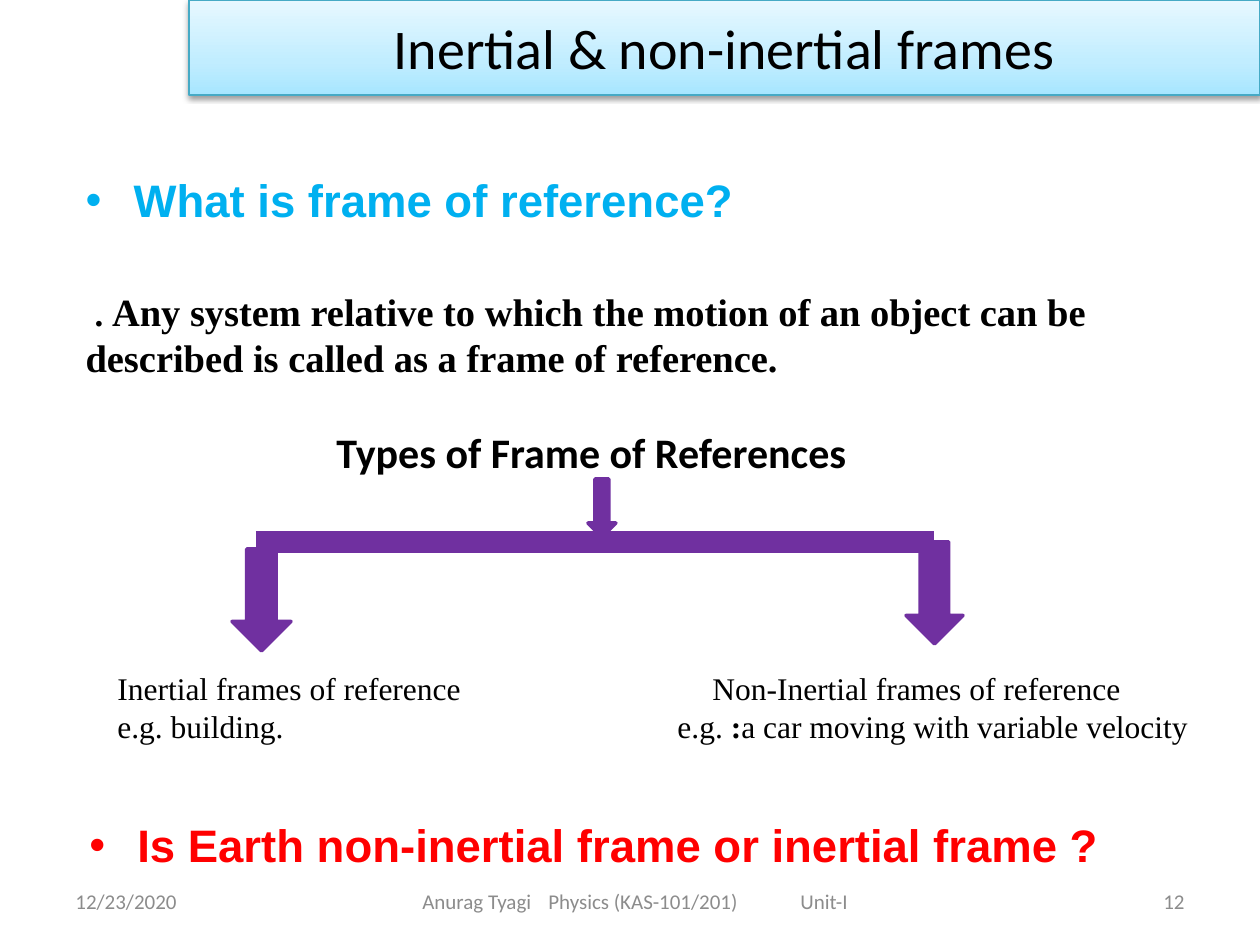
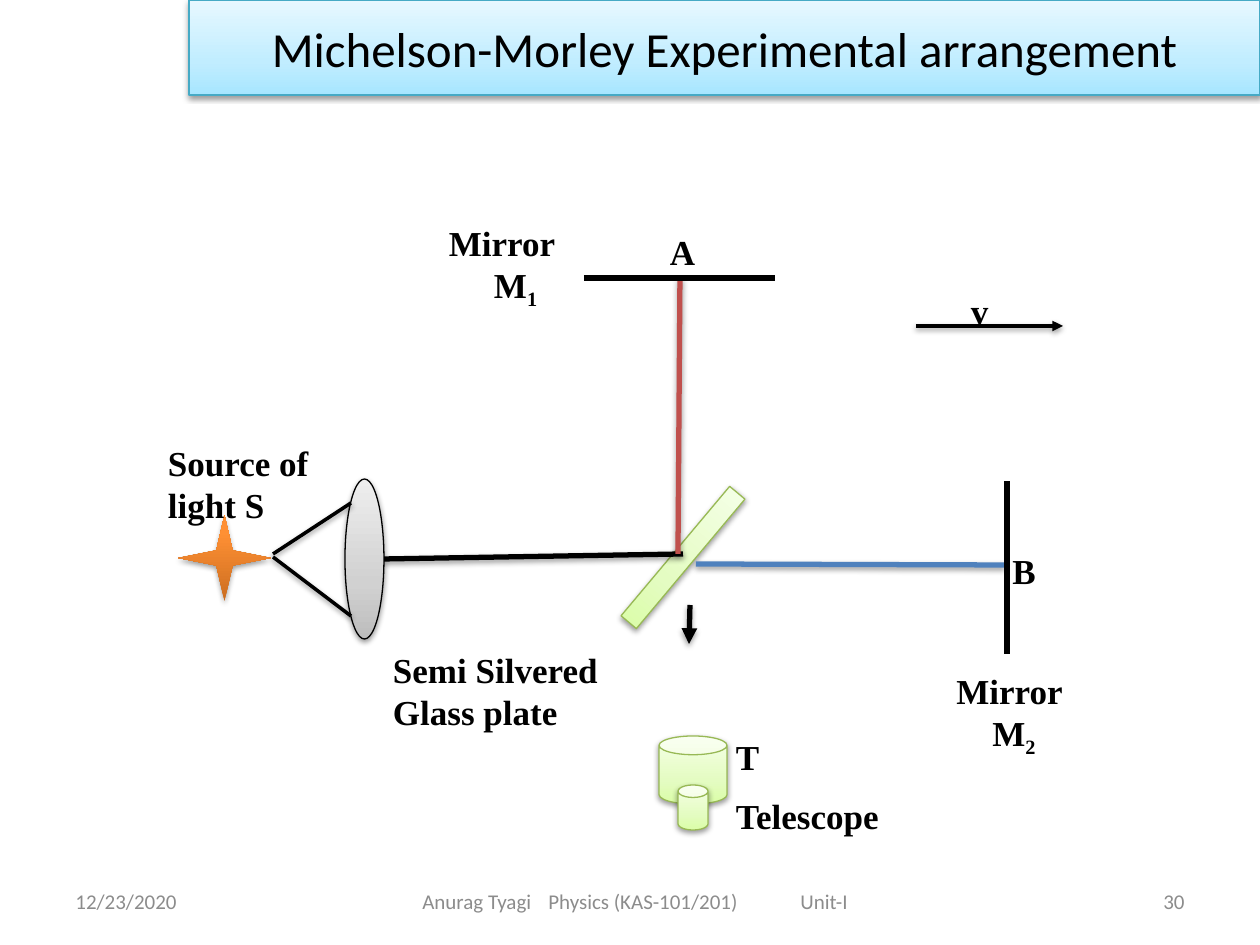
from dataclasses import dataclass
from typing import Optional

from lxml.etree import SubElement
from pptx import Presentation
from pptx.dml.color import RGBColor
from pptx.enum.shapes import MSO_CONNECTOR as Connector, MSO_SHAPE as Preset
from pptx.enum.text import MSO_ANCHOR as Anchor, MSO_AUTO_SIZE as AutoSize, PP_ALIGN as Align
from pptx.oxml.ns import qn
from pptx.util import Pt

SCALE = 914400 / 126
COLORS = {
    "black": "000000", "gray": "8C8C8C", "sky": "00B0F0", "red": "FF0000",
    "purple": "7030A0", "teal": "46AAC5", "olive": "98B955",
    "brick": "C0504D", "blue": "4F81BD",
}
GRADIENTS = {
    "ice": ((0, "A7E6FF"), (35, "C1EDFF"), (100, "E7F8FF")),
    "lime": ((0, "DAFDA7"), (35, "E4FCC2"), (100, "F5FFE7")),
    "silver": ((0, "BDBDBD"), (35, "D1D1D1"), (100, "EEEEEE")),
    "orange": ((0, "CC6E20"), (80, "FF9034"), (100, "FF9136")),
}
SERIF, SANS, ARIAL = "Times New Roman", "Calibri", "Arial"


@dataclass(frozen=True)
class Span:
    text: str
    size: int = 20
    font: str = SERIF
    color: str = "black"
    bold: bool = True
    baseline: int = 0


@dataclass(frozen=True)
class Para:
    spans: tuple[Span, ...]
    align: Align = Align.LEFT
    margin: int = 0
    indent: int = 0
    bullet: bool = False
    before: int = 0
    after: int = 0
    tabs: tuple[int, ...] = ()


@dataclass(frozen=True)
class Label:
    at: tuple[int, int, int, int]
    paras: tuple[Para, ...]
    inset: bool = True
    anchor: Anchor = Anchor.TOP


@dataclass(frozen=True)
class Figure:
    preset: Preset
    at: tuple[int, int, int, int]
    fill: str
    line: Optional[str] = None
    width: float = 0.75
    rotation: int = 0
    adjust: Optional[float] = None
    shadow: bool = True


@dataclass(frozen=True)
class Ray:
    start: tuple[int, int]
    end: tuple[int, int]
    width: float
    color: str = "black"
    arrow: bool = False
    shadow: bool = True


def px(length: float) -> int:
    return round(length * SCALE)


def rgb(name: str) -> RGBColor:
    return RGBColor.from_string(COLORS[name])


def place(shape, at: tuple[int, int, int, int]) -> None:
    shape.left, shape.top, shape.width, shape.height = map(px, at)


def set_effects(shape, shadow: bool) -> None:
    effects = SubElement(shape._element.spPr, qn("a:effectLst"))
    if shadow:
        outer = SubElement(effects, qn("a:outerShdw"), blurRad="40000", dist="20000",
                           dir="5400000", rotWithShape="0")
        color = SubElement(outer, qn("a:srgbClr"), val=COLORS["black"])
        SubElement(color, qn("a:alpha"), val="38000")


def set_gradient(shape, name: str) -> None:
    shape.fill.gradient()
    shape.fill.gradient_angle = 90
    stops = shape._element.spPr.find(qn("a:gradFill")).find(qn("a:gsLst"))
    for stop in list(stops):
        stops.remove(stop)
    for percent, color in GRADIENTS[name]:
        stop = SubElement(stops, qn("a:gs"), pos=str(percent * 1000))
        SubElement(stop, qn("a:srgbClr"), val=color)


def set_line(shape, color: str, width: float) -> None:
    shape.line.color.rgb = rgb(color)
    shape.line.width = Pt(width)


def write(frame, paras: tuple[Para, ...]) -> None:
    frame.word_wrap = True
    frame.auto_size = AutoSize.NONE
    for index, item in enumerate(paras):
        para = frame.add_paragraph() if index else frame.paragraphs[0]
        props = para._p.get_or_add_pPr()
        props.set("marL", str(px(item.margin)))
        props.set("indent", str(px(item.indent)))
        if item.bullet:
            SubElement(props, qn("a:buFont"), typeface=ARIAL)
            SubElement(props, qn("a:buChar"), char="•")
        else:
            SubElement(props, qn("a:buNone"))
        if item.tabs:
            tabs = SubElement(props, qn("a:tabLst"))
            for stop in item.tabs:
                SubElement(tabs, qn("a:tab"), pos=str(px(stop)), algn="l")
        para.alignment = item.align
        para.space_before, para.space_after = Pt(item.before), Pt(item.after)
        for span in item.spans:
            run = para.add_run()
            run.text = span.text
            font = run.font
            font.size, font.name, font.bold = Pt(span.size), span.font, span.bold
            font.color.rgb = rgb(span.color)
            if span.baseline:
                run._r.get_or_add_rPr().set("baseline", str(span.baseline * 1000))


def add_label(page, label: Label) -> None:
    box = page.shapes.add_textbox(*map(px, label.at))
    frame = box.text_frame
    frame.vertical_anchor = label.anchor
    if not label.inset:
        frame.margin_left = frame.margin_right = frame.margin_top = frame.margin_bottom = 0
    write(frame, label.paras)


def add_figure(page, figure: Figure) -> None:
    shape = page.shapes.add_shape(figure.preset, *map(px, figure.at))
    shape.rotation = figure.rotation
    if figure.adjust is not None:
        shape.adjustments[0] = figure.adjust
    if figure.fill in GRADIENTS:
        set_gradient(shape, figure.fill)
    else:
        shape.fill.solid()
        shape.fill.fore_color.rgb = rgb(figure.fill)
    if figure.line:
        set_line(shape, figure.line, figure.width)
    else:
        shape.line.fill.background()
    set_effects(shape, figure.shadow)


def add_ray(page, ray: Ray) -> None:
    line = page.shapes.add_connector(Connector.STRAIGHT, *map(px, ray.start + ray.end))
    set_line(line, ray.color, ray.width)
    if ray.arrow:
        SubElement(line.line._get_or_add_ln(), qn("a:tailEnd"), type="triangle")
    set_effects(line, ray.shadow)


def add_page(deck, layout: int, title: str, size: int, number: str):
    page = deck.slides.add_slide(deck.slide_layouts[layout])
    band = page.shapes.title
    place(band, (189, 0, 1071, 95))
    set_gradient(band, "ice")
    set_line(band, "teal", 0.75)
    set_effects(band, True)
    band.text_frame.vertical_anchor = Anchor.MIDDLE
    write(band.text_frame, (Para((Span(title, size, SANS, bold=False),), Align.CENTER),))

    def footer(left: int, width: int, text: str, **layout_options) -> None:
        para = Para((Span(text, 12, SANS, "gray", False),), **layout_options)
        add_label(page, Label((left, 876, width, 50), (para,), anchor=Anchor.MIDDLE))

    footer(63, 294, "12/23/2020")
    footer(347, 693, "Anurag Tyagi\tPhysics (KAS-101/201)\tUnit-I", margin=63, tabs=(248, 555))
    footer(903, 294, number, align=Align.RIGHT)
    return page


def plain(text: str, **options) -> Para:
    return Para((Span(text),), **options)


def mirror(number: str, word_indent: int, symbol_indent: int) -> tuple[Para, ...]:
    return (plain("Mirror", margin=word_indent),
            Para((Span("M"), Span(number, baseline=-25)), margin=symbol_indent))


def question(text: str, color: str) -> Para:
    return Para((Span(text, 26, ARIAL, color),), margin=48, indent=-48, bullet=True)


def build_frames(deck) -> None:
    page = add_page(deck, 1, "Inertial & non-inertial frames", 32, "12")
    body = page.placeholders[1]
    place(body, (73, 166, 1134, 250))
    definition = ("Any system relative to which the motion of an object can be "
                  "described is called as a frame of reference.")
    write(body.text_frame, (
        question("What is frame of reference?", "sky"),
        Para((Span(". "), Span(definition, 22)), indent=9, before=35),
    ))

    for at in ((232, 549, 59, 102), (906, 542, 57, 102), (588, 479, 28, 58)):
        add_figure(page, Figure(Preset.DOWN_ARROW, at, "purple", "purple", 2, shadow=False))
    add_ray(page, Ray((256, 542), (934, 542), 12.25, "purple", shadow=False))

    def example(text: str, bold: bool = False) -> Span:
        return Span(text, 18, bold=bold)

    for label in (
        Label((324, 420, 583, 63), (Para((Span("Types of Frame of References", 24, SANS),)),)),
        Label((105, 663, 420, 89), (Para((example("Inertial frames of reference"),)),
                                    Para((example("e.g. building."),)))),
        Label((665, 663, 538, 89), (
            Para((example("Non-Inertial frames of reference"),), indent=35),
            Para((example("e.g."), example(" :", True),
                  example("a car moving with variable velocity"))))),
        Label((77, 811, 1045, 68),
              (question("Is Earth non-inertial frame or inertial frame ?", "red"),)),
    ):
        add_label(page, label)


def build_experiment(deck) -> None:
    page = add_page(deck, 5, "Michelson-Morley Experimental arrangement", 28, "30")
    for part in (
        Figure(Preset.RECTANGLE, (673, 473, 20, 169), "lime", "olive", rotation=40),
        Ray((384, 559), (683, 554), 3),
        Figure(Preset.OVAL, (345, 479, 39, 160), "silver", "black"),
        Ray((678, 554), (680, 278), 3, "brick"),
        Ray((1004, 565), (696, 564), 3, "blue"),
        Figure(Preset.CAN, (659, 736, 68, 68), "lime", "olive", adjust=0.275),
        Figure(Preset.CAN, (678, 785, 30, 45), "lime", "olive", adjust=0.416),
        Ray((584, 278), (775, 278), 3.25, shadow=False),
        Ray((1007, 654), (1007, 481), 3.25, shadow=False),
        Ray((351, 503), (273, 554), 2),
        Ray((273, 557), (351, 616), 2),
        Figure(Preset.STAR_4_POINT, (178, 515, 93, 86), "orange", adjust=0.125),
        Ray((690, 605), (689, 644), 3, arrow=True),
        Ray((916, 326), (1063, 326), 2, arrow=True),
    ):
        if isinstance(part, Ray):
            add_ray(page, part)
        else:
            add_figure(page, part)

    for label in (
        Label((736, 735, 189, 96), (plain("T", after=10), plain("Telescope")), False),
        Label((393, 648, 248, 84), (plain("Semi Silvered"), plain("Glass plate")), False),
        Label((440, 221, 152, 108), mirror("1", 9, 54), False),
        Label((897, 663, 236, 102), mirror("2", 47, 83)),
        Label((1000, 543, 118, 54), (plain("B"),)),
        Label((168, 442, 152, 100), (plain("Source of light S"),), False),
        Label((670, 231, 82, 48), (plain("A"),), False),
        Label((971, 290, 92, 40), (plain("v"),), False),
    ):
        add_label(page, label)


def main() -> None:
    deck = Presentation()
    deck.slide_width, deck.slide_height = px(1260), px(945)
    build_frames(deck)
    build_experiment(deck)
    deck.save("out.pptx")


if __name__ == "__main__":
    main()
